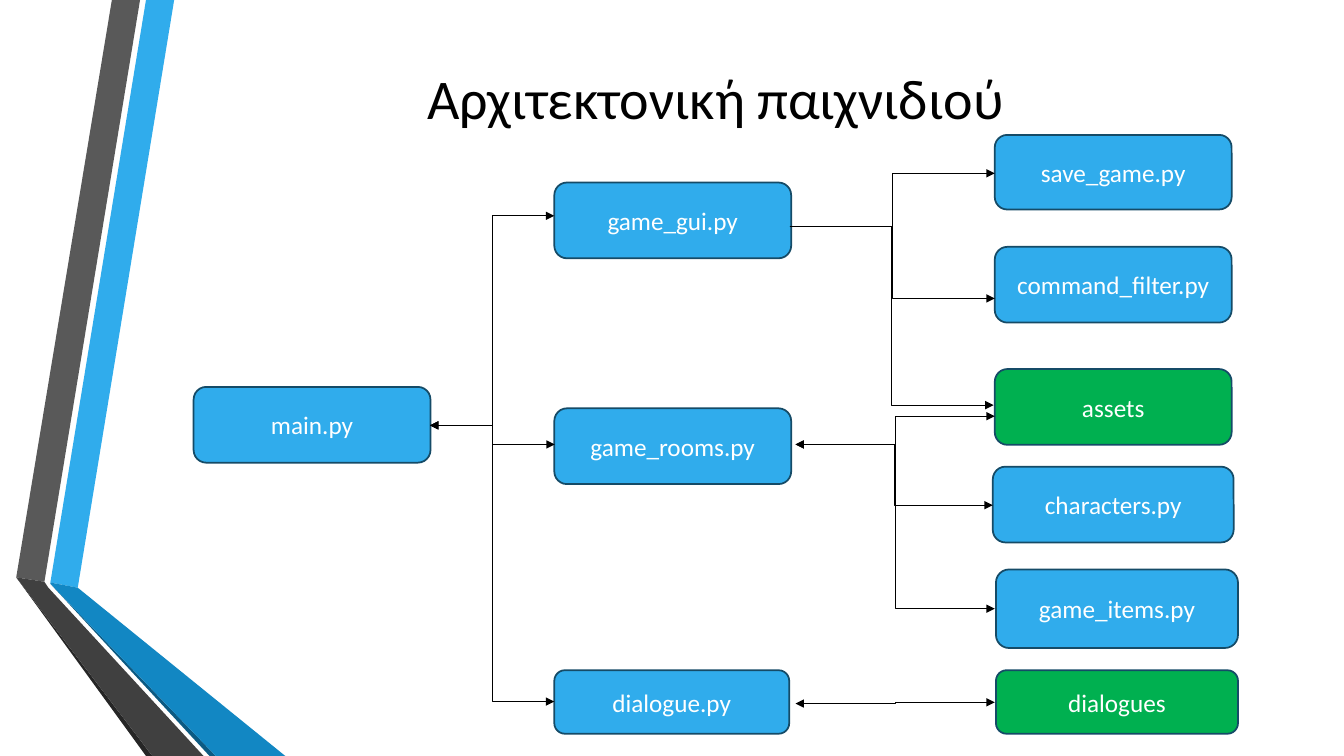
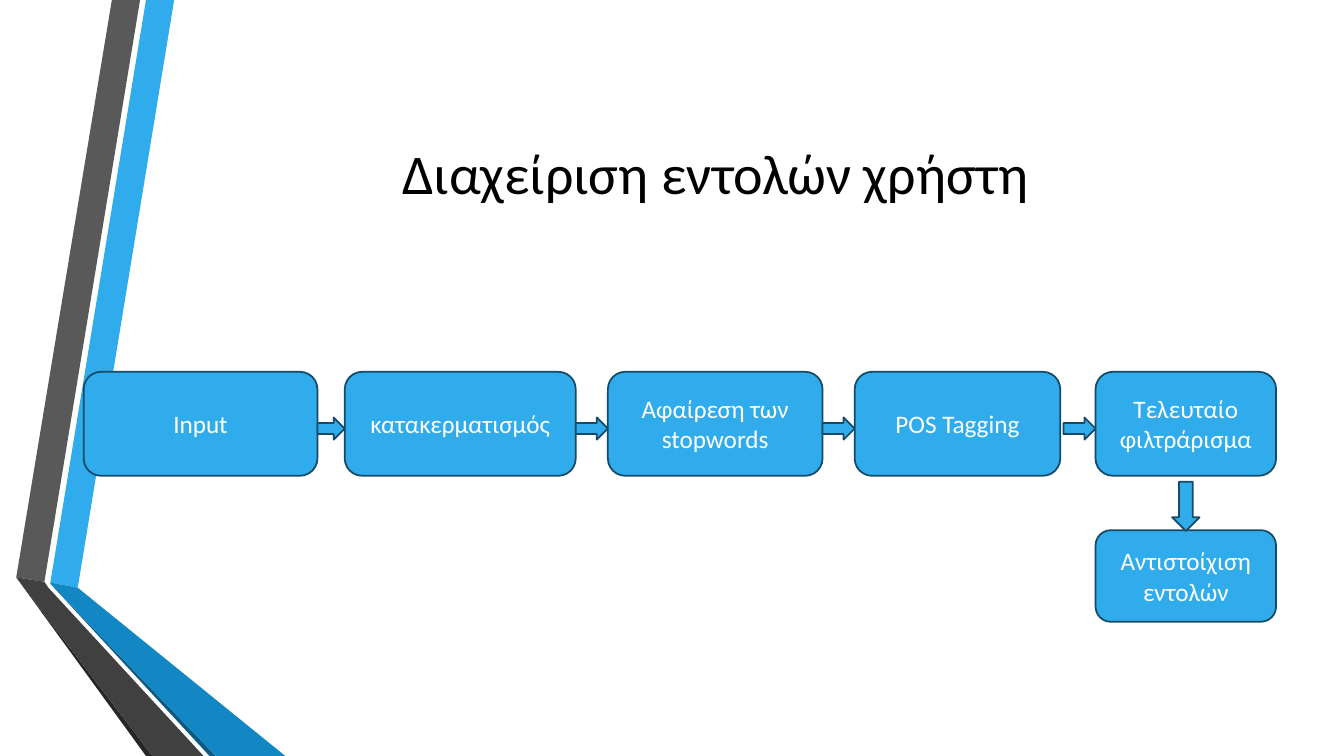
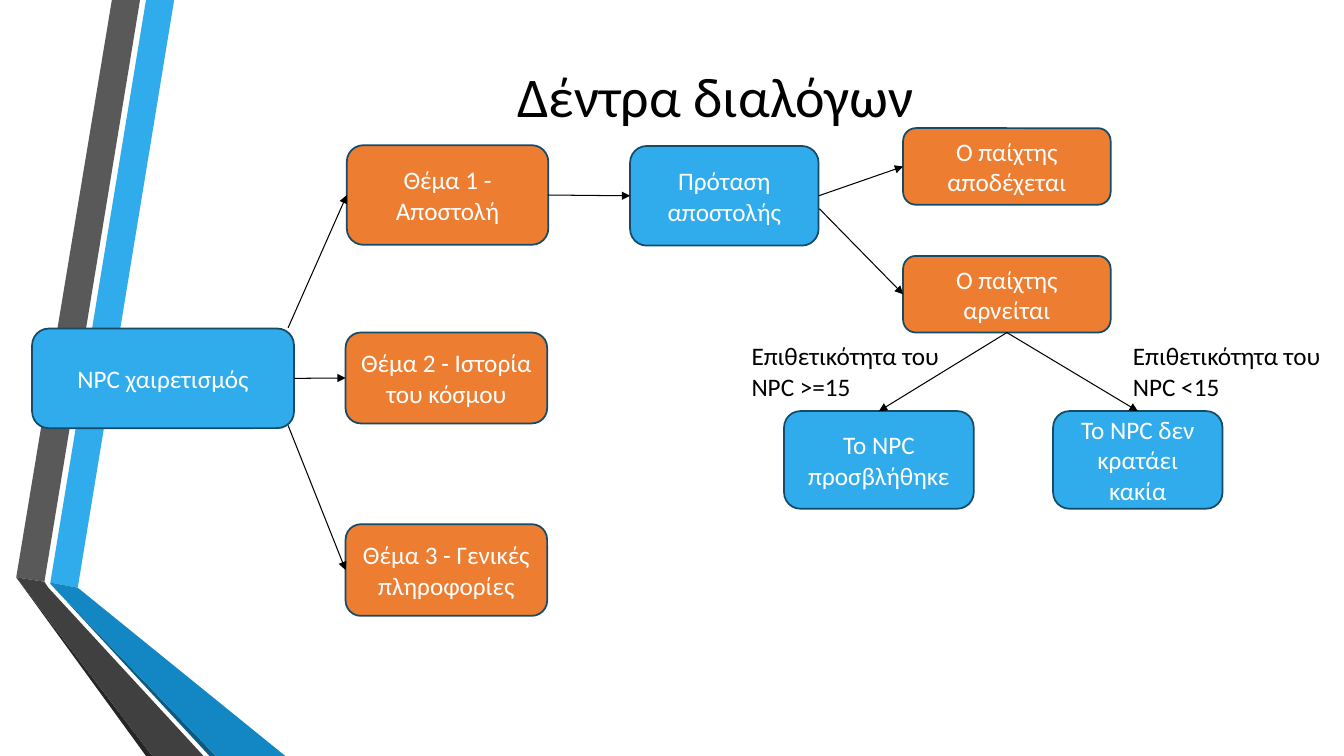
import itertools

import lxml.etree
import pptx
import pptx.dml.color
import pptx.enum.shapes
import pptx.enum.text
import pptx.oxml.ns
import pptx.util

Cm = pptx.util.Cm
Pt = pptx.util.Pt
SHAPE = pptx.enum.shapes.MSO_SHAPE
CONNECTOR = pptx.enum.shapes.MSO_CONNECTOR
ALIGN = pptx.enum.text.PP_ALIGN
ANCHOR = pptx.enum.text.MSO_ANCHOR

COLORS = {
    "blue": "30ACEC",
    "mid_blue": "1287C3",
    "deep_blue": "0C5A82",
    "outline": "154B67",
    "gray": "595959",
    "dark_gray": "404040",
    "near_black": "262626",
    "green": "00B050",
    "orange": "ED7D31",
    "black": "000000",
    "white": "FFFFFF",
}
TITLE_FONT = {"name": "Calibri", "size": Pt(40)}
TEXT_FONT = {"name": "Calibri", "size": Pt(18)}
TITLE_BOX = {"left": Cm(4.11), "width": Cm(27.84), "height": Cm(4.88)}
CENTERED_FRAME = {"word_wrap": True, "vertical_anchor": ANCHOR.MIDDLE}
LABEL_FRAME = {"word_wrap": True, "auto_size": pptx.enum.text.MSO_AUTO_SIZE.SHAPE_TO_FIT_TEXT}

TOP, LEFT, BOTTOM, RIGHT = range(4)

BANDS = [
    ("blue", [(1.27, 14.68), (1.96, 14.81), (4.39, 0), (3.68, 0)]),
    ("gray", [(3.53, 0), (2.82, 0), (0.41, 14.55), (1.12, 14.66)]),
    ("near_black", [(0.41, 14.55), (3.68, 19.05), (3.84, 19.05)]),
    ("deep_blue", [(1.27, 14.71), (5.28, 19.05), (5.44, 19.05)]),
    ("mid_blue", [(1.27, 14.71), (5.44, 19.05), (7.19, 19.05), (1.96, 14.81), (1.27, 14.68)]),
    ("dark_gray", [(5.13, 19.05), (1.22, 14.81), (1.12, 14.66), (0.41, 14.55), (3.84, 19.05)]),
]


def rgb(color):
    return pptx.dml.color.RGBColor.from_string(COLORS[color])


def apply_format(target, values):
    for name, value in values.items():
        setattr(target, name, value)


def paint(shape, color):
    shape.shadow.inherit = False
    shape.fill.solid()
    shape.fill.fore_color.rgb = rgb(color)


def write_text(text_frame, text, font, color, alignment):
    paragraph = text_frame.paragraphs[0]
    paragraph.alignment = alignment
    run = paragraph.add_run()
    run.text = text
    apply_format(run.font, font)
    run.font.color.rgb = rgb(color)


def add_bands_to_master(presentation, slide):
    """Draw the bands on a slide, then move them to the master all slides share."""
    group = slide.shapes.add_group_shape()
    for color, points in BANDS:
        corners = [(Cm(x), Cm(y)) for x, y in points]
        builder = group.shapes.build_freeform(*corners[0], scale=1.0)
        builder.add_line_segments(corners[1:], close=True)
        band = builder.convert_to_shape()
        paint(band, color)
        band.line.fill.background()
    # Keep shape ids unique among the master's own placeholders.
    properties = group.element.iter(pptx.oxml.ns.qn("p:cNvPr"))
    for number, item in enumerate(properties, 101):
        item.set("id", str(number))
    presentation.slide_master.shapes.element.insert(2, group.element)


def add_titled_slide(presentation, title, top):
    slide = presentation.slides.add_slide(presentation.slide_layouts.get_by_name("Title Only"))
    placeholder = slide.shapes.title
    apply_format(placeholder, {**TITLE_BOX, "top": Cm(top)})
    placeholder.text_frame.vertical_anchor = ANCHOR.MIDDLE
    write_text(placeholder.text_frame, title, TITLE_FONT, "black", ALIGN.CENTER)
    return slide


def add_block(slide, kind, left, top, width, height, color="blue"):
    block = slide.shapes.add_shape(kind, Cm(left), Cm(top), Cm(width), Cm(height))
    paint(block, color)
    block.line.color.rgb = rgb("outline")
    block.line.width = Pt(1.25)
    return block


def add_box(slide, text, left, top, width, height, color="blue"):
    box = add_block(slide, SHAPE.ROUNDED_RECTANGLE, left, top, width, height, color)
    apply_format(box.text_frame, CENTERED_FRAME)
    write_text(box.text_frame, text, TEXT_FONT, "white", ALIGN.CENTER)
    return box


def add_label(slide, text, left, top, width, height):
    label = slide.shapes.add_textbox(Cm(left), Cm(top), Cm(width), Cm(height))
    apply_format(label.text_frame, LABEL_FRAME)
    write_text(label.text_frame, text, TEXT_FONT, "black", ALIGN.LEFT)


def style_arrow(connector, ends):
    connector.line.color.rgb = rgb("black")
    connector.line.width = Pt(0.75)
    properties = connector.element.spPr
    line = properties.find(pptx.oxml.ns.qn("a:ln"))
    for end in ends:
        lxml.etree.SubElement(line, pptx.oxml.ns.qn(f"a:{end}"), type="triangle")
    lxml.etree.SubElement(properties, pptx.oxml.ns.qn("a:effectLst"))


def add_elbow_arrow(slide, start, end, double):
    points = [Cm(value) for value in (*start, *end)]
    connector = slide.shapes.add_connector(CONNECTOR.ELBOW, *points)
    style_arrow(connector, ["headEnd", "tailEnd"] if double else ["tailEnd"])


def add_straight_arrow(slide, start, target, target_side):
    """Start is a (box, side) pair or an (x, y) point in centimetres."""
    joined = not isinstance(start[0], (int, float))
    origin = (0, 0) if joined else (Cm(start[0]), Cm(start[1]))
    connector = slide.shapes.add_connector(CONNECTOR.STRAIGHT, *origin, *origin)
    if joined:
        connector.begin_connect(*start)
    connector.end_connect(target, target_side)
    style_arrow(connector, ["tailEnd"])


def build_architecture(slide):
    for box in [
        ("main.py", 4.88, 9.75, 5.97, 1.91),
        ("game_gui.py", 13.97, 4.6, 5.97, 1.91),
        ("game_rooms.py", 13.97, 10.29, 5.97, 1.91),
        ("dialogue.py", 13.97, 16.89, 5.92, 1.6),
        ("save_game.py", 25.07, 3.4, 5.97, 1.88),
        ("command_filter.py", 25.07, 6.22, 5.97, 1.91),
        ("assets", 25.07, 9.3, 5.97, 1.91, "green"),
        ("characters.py", 25.02, 11.76, 6.07, 1.91),
        ("game_items.py", 25.1, 14.35, 6.1, 1.98),
        ("dialogues", 25.1, 16.89, 6.1, 1.6, "green"),
    ]:
        add_box(slide, *box)

    for start, ends, double in [
        ((19.9, 5.71), [(25.07, 4.37), (25.07, 7.52), (25.04, 10.21)], False),
        ((20.05, 11.2), [(25.07, 10.49)], False),
        ((20.05, 11.2), [(25.02, 12.73), (25.07, 15.34)], True),
        ((10.84, 10.72), [(13.97, 5.44), (13.98, 11.2), (13.97, 17.68)], True),
        ((20.05, 17.73), [(25.07, 17.7)], True),
    ]:
        for end in ends:
            add_elbow_arrow(slide, start, end, double)


def build_command_flow(slide):
    steps = [
        ("Input", 2.11, 5.89),
        ("κατακερματισμός", 8.69, 5.82),
        ("Αφαίρεση των stopwords", 15.32, 5.41),
        ("POS Tagging", 21.54, 5.18),
        ("Τελευταίο φιλτράρισμα", 27.61, 4.55),
    ]
    for text, left, width in steps:
        add_box(slide, text, left, 9.37, width, 2.62)
    add_box(slide, "Αντιστοίχιση εντολών", 27.61, 13.36, 4.55, 2.31)

    for (_, left, width), (_, next_left, _) in itertools.pairwise(steps):
        length = min(next_left - left - width, 0.81)
        add_block(slide, SHAPE.RIGHT_ARROW, next_left - length, 10.52, length, 0.56)
    add_block(slide, SHAPE.DOWN_ARROW, 29.54, 12.14, 0.69, 1.24)


def build_dialogue_tree(slide):
    greeting = add_box(slide, "NPC χαιρετισμός", 0.81, 8.28, 6.6, 2.51)
    quest = add_box(slide, "Θέμα 1 - Αποστολή", 8.74, 3.66, 5.08, 2.51, "orange")
    history = add_box(slide, "Θέμα 2 - Ιστορία του κόσμου", 8.71, 8.38, 5.08, 2.29, "orange")
    general = add_box(slide, "Θέμα 3 - Γενικές πληροφορίες", 8.71, 13.21, 5.08, 2.31, "orange")
    offer = add_box(slide, "Πρόταση αποστολής", 15.88, 3.68, 4.75, 2.51)
    accepted = add_box(slide, "Ο παίχτης αποδέχεται", 22.76, 3.23, 5.23, 1.93, "orange")
    refused = add_box(slide, "Ο παίχτης αρνείται", 22.76, 6.45, 5.23, 1.93, "orange")
    offended = add_box(slide, "To NPC προσβλήθηκε", 19.76, 10.36, 4.78, 2.46)
    forgiving = add_box(slide, "Το NPC δεν κρατάει κακία", 26.54, 10.36, 4.27, 2.46)

    for start, target, side in [
        ((7.26, 8.26), quest, LEFT),
        ((greeting, RIGHT), history, LEFT),
        ((7.26, 10.72), general, LEFT),
        ((quest, RIGHT), offer, LEFT),
        ((offer, RIGHT), accepted, LEFT),
        ((20.65, 5.26), refused, LEFT),
        ((refused, BOTTOM), offended, TOP),
        ((refused, BOTTOM), forgiving, TOP),
    ]:
        add_straight_arrow(slide, start, target, side)

    for text, left in [("Επιθετικότητα του NPC >=15", 18.69), ("Επιθετικότητα του NPC <15", 28.3)]:
        add_label(slide, text, left, 8.46, 5.31, 1.8)


def main():
    presentation = pptx.Presentation()
    presentation.slide_width = Cm(33.87)
    presentation.slide_height = Cm(19.05)

    architecture = add_titled_slide(presentation, "Αρχιτεκτονική παιχνιδιού", 0)
    add_bands_to_master(presentation, architecture)
    build_architecture(architecture)
    build_command_flow(add_titled_slide(presentation, "Διαχείριση εντολών χρήστη", 1.9))
    build_dialogue_tree(add_titled_slide(presentation, "Δέντρα διαλόγων", -0.05))

    presentation.save("out.pptx")


if __name__ == "__main__":
    main()
